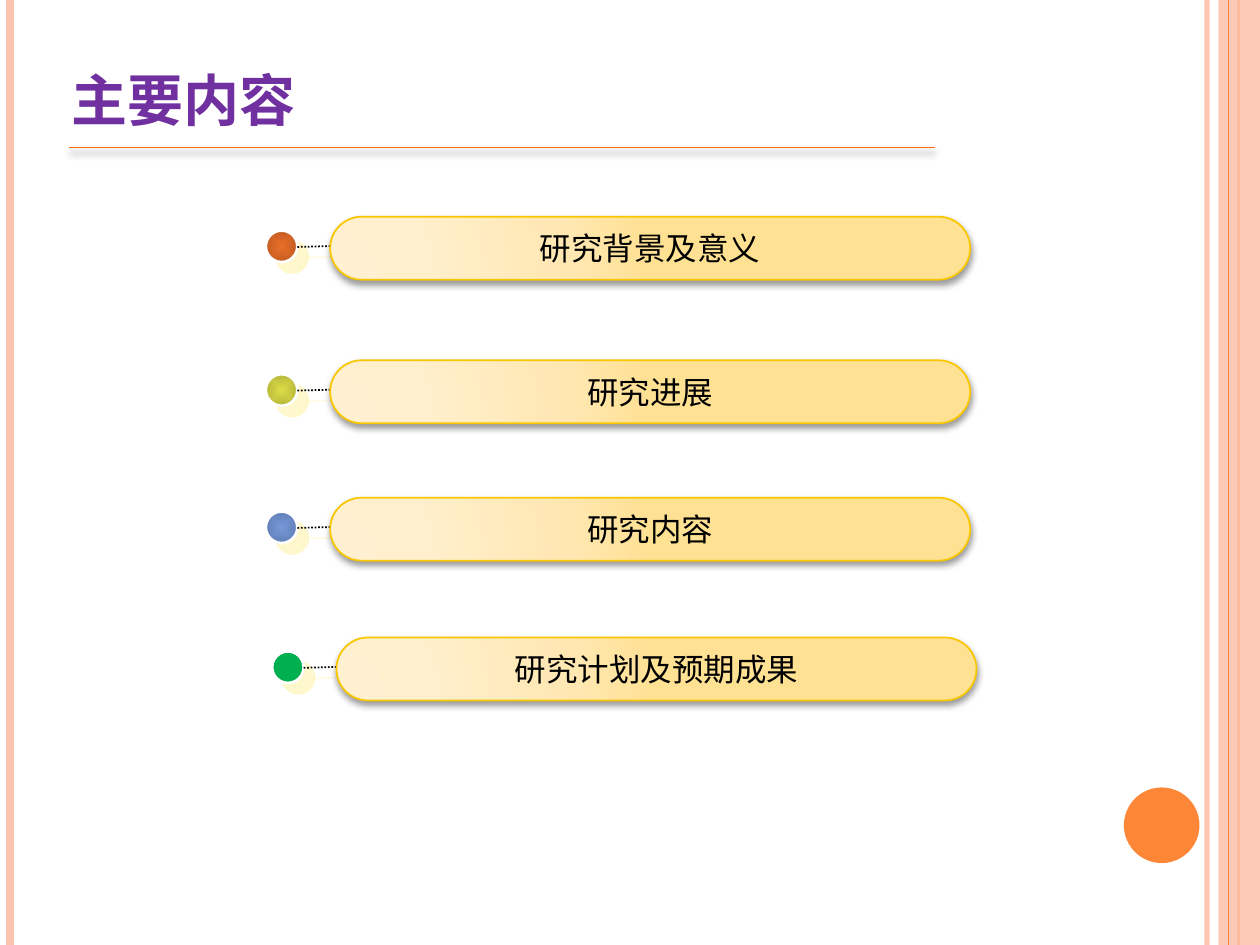
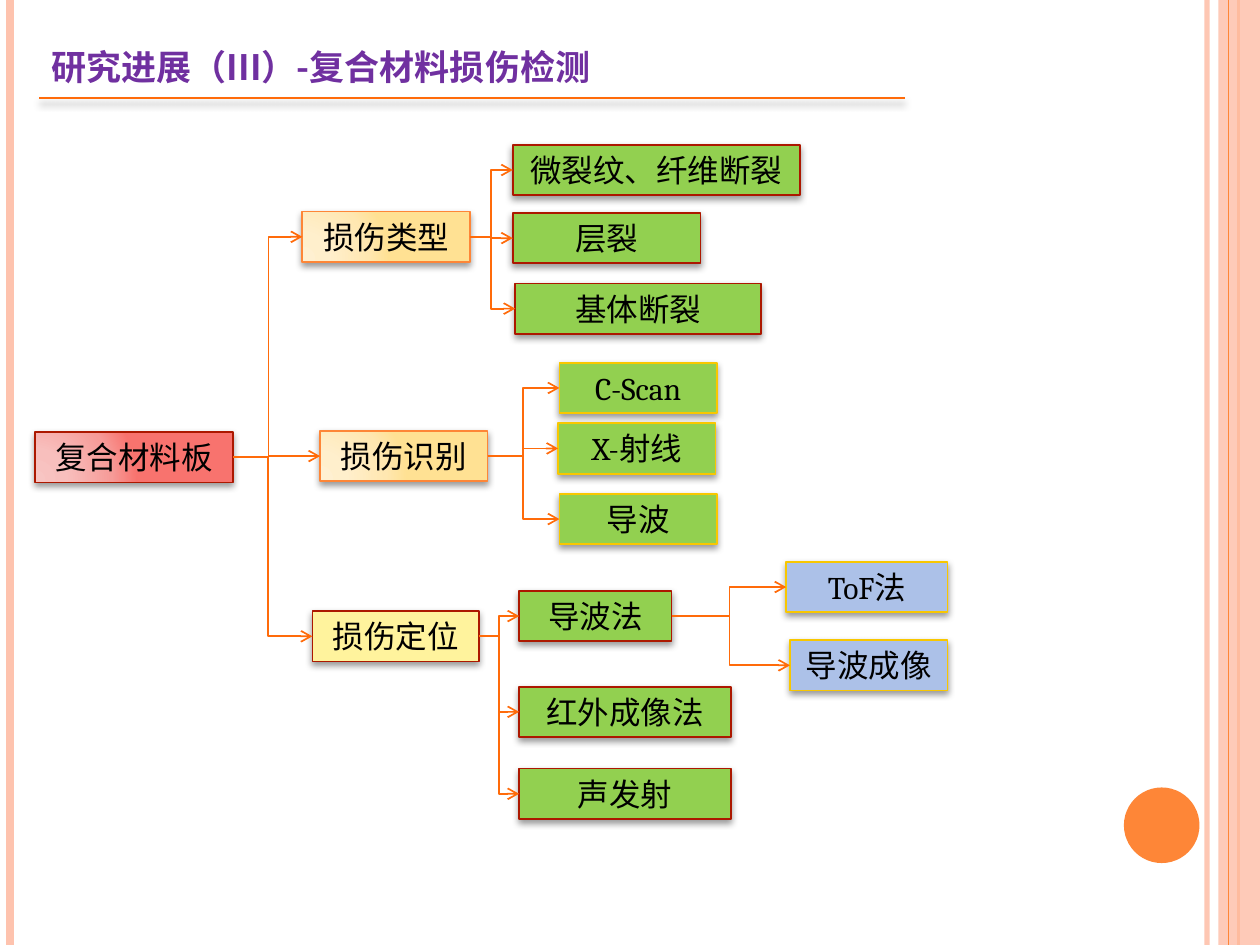
from dataclasses import dataclass

from lxml import etree
from pptx import Presentation
from pptx import util as u
from pptx.dml.color import RGBColor
from pptx.enum import dml, shapes, text
from pptx.oxml.ns import qn


@dataclass(frozen=True)
class Shadow:
    color: str
    alpha: int
    blur: float
    distance: float
    angle: int


@dataclass(frozen=True)
class Gradient:
    kind: str
    focus: tuple
    stops: tuple


CORNER = (5, 100, 120, 10)
CENTRE = (50, 50, 50, 50)


@dataclass(frozen=True)
class Theme:
    band: str = "FEC3AE"
    orange: str = "FE8637"
    rule: str = "FF6B0A"
    purple: str = "7030A0"
    black: str = "000000"
    white: str = "FFFFFF"
    gold: str = "F8C700"
    dark_red: str = "AC1800"
    yellow: str = "FFF39D"
    green: str = "92D050"
    blue: str = "ACC1E8"
    emerald: str = "00B050"
    cream: Gradient = Gradient("circle", CORNER, (
        (0, "FFF0D1"), (30, "FFEFCC"), (75, "FFE7B1"), (100, "FFE193")))
    red: Gradient = Gradient("circle", CORNER, (
        (0, "F8C5C3"), (30, "F8BFBD"), (75, "F69B98"), (100, "F8736E")))
    orange_ball: Gradient = Gradient("shape", CENTRE, ((0, "E96E29"), (100, "C35C22")))
    olive_ball: Gradient = Gradient("shape", CENTRE, ((0, "DCDC48"), (100, "B8B83C")))
    blue_ball: Gradient = Gradient("shape", CENTRE, ((0, "7598D9"), (100, "627FB6")))
    box_shadow: Shadow = Shadow("000000", 40, 4, 2, 90)
    rule_shadow: Shadow = Shadow("000000", 40, 4, 3, 90)
    glow: Shadow = Shadow("FFF39D", 50, 0, 8.5, 45)
    label_font: str = "Cambria"
    label_size: int = 18


THEME = Theme()

AGENDA = (
    ("研究背景及意义", 2.11, 1.72, THEME.orange_ball),
    ("研究进展", 2.11, 2.86, THEME.olive_ball),
    ("研究内容", 2.11, 3.95, THEME.blue_ball),
    ("研究计划及预期成果", 2.16, 5.06, THEME.emerald),
)

# label: left, top, width, fill, outline
DAMAGE_BOXES = {
    "复合材料板": (0.28, 3.43, 1.57, THEME.red, THEME.dark_red),
    "损伤类型": (2.4, 1.68, 1.33, THEME.cream, THEME.orange),
    "损伤识别": (2.54, 3.42, 1.33, THEME.cream, THEME.orange),
    "损伤定位": (2.48, 4.85, 1.32, THEME.yellow, THEME.dark_red),
    "微裂纹、纤维断裂": (4.07, 1.15, 2.28, THEME.green, THEME.dark_red),
    "层裂": (4.07, 1.69, 1.49, THEME.green, THEME.dark_red),
    "基体断裂": (4.09, 2.25, 1.95, THEME.green, THEME.dark_red),
    "C-Scan": (4.44, 2.88, 1.25, THEME.green, THEME.gold),
    "X-射线": (4.43, 3.36, 1.25, THEME.green, THEME.gold),
    "导波": (4.44, 3.92, 1.25, THEME.green, THEME.gold),
    "导波法": (4.12, 4.69, 1.21, THEME.green, THEME.dark_red),
    "红外成像法": (4.12, 5.45, 1.68, THEME.green, THEME.dark_red),
    "声发射": (4.12, 6.1, 1.68, THEME.green, THEME.dark_red),
    "ToF法": (6.24, 4.46, 1.28, THEME.blue, THEME.gold),
    "导波成像": (6.27, 5.08, 1.25, THEME.blue, THEME.gold),
}

# parent: distance to the shared trunk, children
BRANCHES = {
    "复合材料板": (0.28, ("损伤类型", "损伤识别", "损伤定位")),
    "损伤类型": (0.17, ("微裂纹、纤维断裂", "层裂", "基体断裂")),
    "损伤识别": (0.28, ("C-Scan", "X-射线", "导波")),
    "损伤定位": (0.16, ("导波法", "红外成像法", "声发射")),
    "导波法": (0.46, ("ToF法", "导波成像")),
}


def inches(*lengths):
    return [u.Inches(length) for length in lengths]


def add_xml(parent, tag, **attributes):
    values = {name: str(value) for name, value in attributes.items()}
    return etree.SubElement(parent, qn(tag), values)


def set_alpha(shape, percent):
    color = next(shape.element.spPr.iter(qn("a:srgbClr")))
    add_xml(color, "a:alpha", val=percent * 1000)


def set_shadow(shape, shadow=None):
    """Replace the theme effects; call once the outline has been set."""
    effects = add_xml(shape.element.spPr, "a:effectLst")
    if shadow:
        outer = add_xml(effects, "a:outerShdw", blurRad=u.Pt(shadow.blur),
                        dist=u.Pt(shadow.distance), dir=shadow.angle * 60000,
                        algn="ctr", rotWithShape=0)
        color = add_xml(outer, "a:srgbClr", val=shadow.color)
        add_xml(color, "a:alpha", val=shadow.alpha * 1000)


def set_fill(shape, fill):
    if isinstance(fill, str):
        shape.fill.solid()
        shape.fill.fore_color.rgb = RGBColor.from_string(fill)
        return
    shape.fill.gradient()
    gradient = shape.element.spPr.find(qn("a:gradFill"))
    for child in list(gradient):
        gradient.remove(child)
    stops = add_xml(gradient, "a:gsLst")
    for position, color in fill.stops:
        stop = add_xml(stops, "a:gs", pos=position * 1000)
        add_xml(stop, "a:srgbClr", val=color)
    shading = add_xml(gradient, "a:path", path=fill.kind)
    edges = {side: value * 1000 for side, value in zip("ltrb", fill.focus)}
    add_xml(shading, "a:fillToRect", **edges)


def set_line(shape, color, width):
    shape.line.width = u.Pt(width)
    shape.line.fill.solid()
    shape.line.color.rgb = RGBColor.from_string(color)


def add_figure(parent, kind, bounds, fill, outline=None, width=1, shadow=None):
    figure = parent.shapes.add_shape(kind, *inches(*bounds))
    set_fill(figure, fill)
    if outline:
        set_line(figure, outline, width)
    else:
        figure.line.fill.background()
    set_shadow(figure, shadow)
    return figure


def add_line(parent, ends, color, width, shadow=None, dash=None):
    line = parent.shapes.add_connector(shapes.MSO_CONNECTOR.STRAIGHT, *inches(*ends))
    set_line(line, color, width)
    if dash:
        line.line.dash_style = dash
    set_shadow(line, shadow)
    return line


def write_label(shape, label):
    para = shape.text_frame.paragraphs[0]
    para.text = label
    para.alignment = text.PP_ALIGN.CENTER
    para.font.name = THEME.label_font
    para.font.size = u.Pt(THEME.label_size)
    para.font.color.rgb = RGBColor.from_string(THEME.black)


def frame_layout(layout, page):
    """Draw the side bands on the page and hand them to its layout."""
    for placeholder in list(layout.placeholders):
        if placeholder.placeholder_format.idx:
            layout.shapes.element.remove(placeholder.element)
    bands = [add_line(page, (x, 0, x, 7.5), color, width)
             for x, color, width in ((9.58, THEME.band, 3), (0.08, THEME.band, 4.5),
                                     (9.83, THEME.orange, 1.5))]
    panel = add_figure(page, shapes.MSO_SHAPE.RECTANGLE, (9.67, 0, 0.33, 7.5), THEME.band)
    set_alpha(bands[0], 93)
    set_alpha(panel, 87)
    edge = add_line(page, (9.75, 0, 9.75, 7.5), THEME.orange, 0.75)
    disc = add_figure(page, shapes.MSO_SHAPE.OVAL, (8.92, 6.25, 0.6, 0.6), THEME.orange)
    for part in (*bands, panel, edge, disc):
        layout.shapes.element.append(part.element)


def add_title(page, words, bounds, font, size, rule_left, rule_top):
    title = page.shapes.title
    title.left, title.top, title.width, title.height = inches(*bounds)
    frame = title.text_frame
    frame.word_wrap = True
    frame.auto_size = text.MSO_AUTO_SIZE.NONE
    frame.vertical_anchor = text.MSO_ANCHOR.TOP
    para = frame.paragraphs[0]
    para.text = words
    para.alignment = text.PP_ALIGN.LEFT
    para.font.name = font
    para.font.size = u.Pt(size)
    para.font.bold = True
    para.font.color.rgb = RGBColor.from_string(THEME.purple)
    add_line(page, (rule_left, rule_top, rule_left + 6.87, rule_top),
             THEME.rule, 1, THEME.rule_shadow)


def add_agenda_row(page, label, left, top, ball_fill):
    row = page.shapes.add_group_shape()
    add_figure(row, shapes.MSO_SHAPE.OVAL, (left, top + 0.11, 0.25, 0.25),
               ball_fill, THEME.white, 1.5, THEME.glow)
    add_line(row, (left + 0.25, top + 0.24, left + 0.63, top + 0.23), THEME.black, 1,
             THEME.glow, dml.MSO_LINE.ROUND_DOT)
    pill = add_figure(row, shapes.MSO_SHAPE.ROUNDED_RECTANGLE, (left + 0.51, top, 5.08, 0.5),
                      THEME.cream, THEME.gold, 1, THEME.box_shadow)
    pill.adjustments[0] = 0.5
    pill.text_frame.word_wrap = False
    pill.text_frame.vertical_anchor = text.MSO_ANCHOR.MIDDLE
    write_label(pill, label)


def add_box(page, label, left, top, width, fill, outline):
    box = add_figure(page, shapes.MSO_SHAPE.RECTANGLE, (left, top, width, 0.4),
                     fill, outline, 1, THEME.box_shadow)
    box.text_frame.word_wrap = True
    box.text_frame.vertical_anchor = text.MSO_ANCHOR.TOP
    box.text_frame.auto_size = text.MSO_AUTO_SIZE.SHAPE_TO_FIT_TEXT
    write_label(box, label)
    return box


def add_branch(page, parent, child, trunk):
    """Join two boxes with an elbow arrow that turns at the trunk distance."""
    branch = page.shapes.add_connector(shapes.MSO_CONNECTOR.ELBOW, 0, 0, 0, 0)
    branch.begin_connect(parent, 3)
    branch.end_connect(child, 1)
    set_line(branch, THEME.rule, 1)
    properties = branch.element.spPr
    add_xml(properties.find(qn("a:ln")), "a:tailEnd", type="arrow")
    bend = round(u.Inches(trunk) / branch.width * 100000)
    add_xml(next(properties.iter(qn("a:avLst"))), "a:gd", name="adj1", fmla=f"val {bend}")
    set_shadow(branch)


def build_agenda(page):
    add_title(page, "主要内容", (0.47, 0.47, 2.19, 0.78), "Times New Roman", 32, 0.55, 1.17)
    for row in AGENDA:
        add_agenda_row(page, *row)


def build_damage_tree(page):
    add_title(page, "研究进展（III）-复合材料损伤检测", (0.31, 0.31, 6.42, 0.78),
              "Noto Sans CJK SC", 20, 0.31, 0.78)
    boxes = {label: add_box(page, label, *look) for label, look in DAMAGE_BOXES.items()}
    for parent, (trunk, children) in BRANCHES.items():
        for child in children:
            add_branch(page, boxes[parent], boxes[child], trunk)


def main():
    deck = Presentation()
    deck.slide_width, deck.slide_height = inches(10, 7.5)
    layout = deck.slide_layouts[5]
    agenda = deck.slides.add_slide(layout)
    frame_layout(layout, agenda)
    build_agenda(agenda)
    build_damage_tree(deck.slides.add_slide(layout))
    deck.save("out.pptx")


if __name__ == "__main__":
    main()
